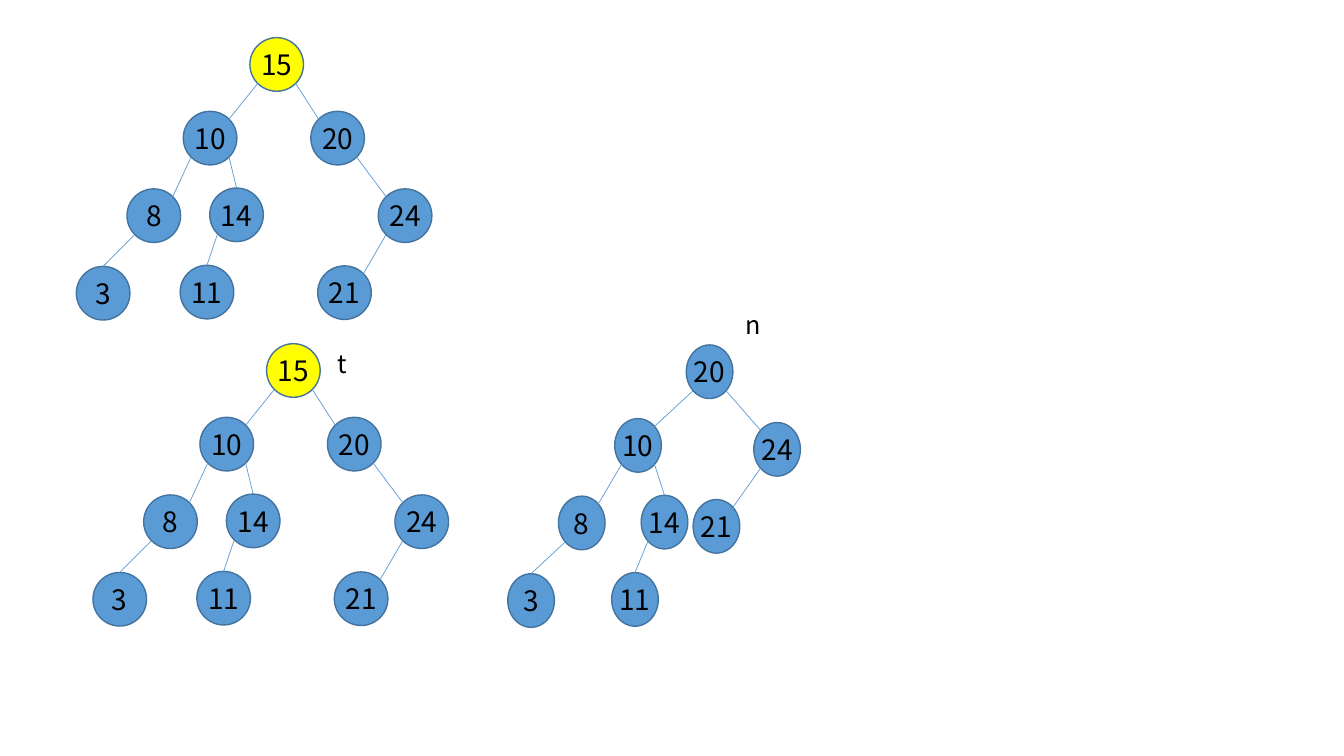
import math
import pptx
import pptx.util
import pptx.dml.color
import pptx.enum.shapes
import pptx.enum.text
import pptx.oxml.ns
import lxml.etree

Pt = pptx.util.Pt
ALIGN = pptx.enum.text.PP_ALIGN
ANCHOR = pptx.enum.text.MSO_ANCHOR

THEME = {
    "font": "Noto Sans CJK KR", "text": "000000",
    "node": "5B9BD5", "root": "FFFF00", "outline": "43739E", "edge": "5B9BD5",
    "node_size": 20, "label_size": 18, "outline_width": 1, "edge_width": 0.5,
}

# Connection sites of an ellipse, counted anticlockwise from the top
TOP, TOP_LEFT, BOTTOM_LEFT, BOTTOM_RIGHT, TOP_RIGHT = 0, 1, 3, 5, 7

# (parent, child, shift from parent, whether the edge enters at the top)
LEFT_BRANCH = [
    ("10", "8", (-40.2, 55.4), False),
    ("8", "3", (-36.2, 55.4), True),
    ("10", "14", (18.9, 54.8), True),
    ("14", "11", (-21.1, 55.2), True),
]
RIGHT_BRANCH = [
    ("20", "24", (48.2, 55.4), False),
    ("24", "21", (-43.3, 55), False),
]
FULL_TREE = [
    ("15", "10", (-47.6, 52.6), False),
    ("15", "20", (43.5, 52.6), False),
    *LEFT_BRANCH, *RIGHT_BRANCH,
]
MERGED_TREE = [("20", "10", (-51.1, 52.6), False), *LEFT_BRANCH, *RIGHT_BRANCH]

# (root, root fill, root position, node size, edges)
TREES = [
    ("15", "root", (178.5, 26.9), (38.3, 38.3), FULL_TREE),
    ("15", "root", (190.4, 245.5), (38.3, 38.3), FULL_TREE),
    ("20", "node", (490.2, 246.4), (33.3, 38.3), MERGED_TREE),
]
LABELS = [("t", (234, 245.5, 21, 29), False), ("n", (525.6, 217.4, 21.6, 29), True)]


def color(name):
    """Return a theme colour."""
    return pptx.dml.color.RGBColor.from_string(THEME[name])


def put_text(sp, text, size, align=ALIGN.LEFT, anchor=ANCHOR.TOP, wrap=False):
    """Write one formatted line of text into a shape."""
    tf = sp.text_frame
    tf.word_wrap = wrap
    tf.vertical_anchor = anchor
    p = tf.paragraphs[0]
    p.alignment = align
    r = p.add_run()
    r.text = text
    r.font.name = THEME["font"]
    r.font.size = Pt(THEME[size])
    r.font.color.rgb = color("text")
    for tag in ("a:ea", "a:cs"):
        face = lxml.etree.SubElement(r.font._element, pptx.oxml.ns.qn(tag))
        face.set("typeface", THEME["font"])


def add_node(s, text, pos, size, fill):
    """Draw one tree node."""
    sp = s.shapes.add_shape(pptx.enum.shapes.MSO_SHAPE.OVAL, *map(Pt, pos + size))
    sp.shadow.inherit = False
    sp.fill.solid()
    sp.fill.fore_color.rgb = color(fill)
    sp.line.color.rgb = color("outline")
    sp.line.width = Pt(THEME["outline_width"])
    put_text(sp, text, "node_size", align=ALIGN.CENTER, anchor=ANCHOR.MIDDLE)
    return sp


def site_point(sp, site):
    """Return the position of a connection site on an ellipse."""
    angle = math.pi / 4 * site
    return (round(sp.left + sp.width / 2 * (1 - math.sin(angle))),
            round(sp.top + sp.height / 2 * (1 - math.cos(angle))))


def add_edge(s, parent, child, enters_top):
    """Connect a parent node to its child."""
    goes_left = child.left < parent.left
    start = BOTTOM_LEFT if goes_left else BOTTOM_RIGHT
    end = TOP if enters_top else TOP_RIGHT if goes_left else TOP_LEFT
    cx = s.shapes.add_connector(pptx.enum.shapes.MSO_CONNECTOR.STRAIGHT, 0, 0, 0, 0)
    cx.line.color.rgb = color("edge")
    cx.line.width = Pt(THEME["edge_width"])
    lxml.etree.SubElement(cx._element.spPr, pptx.oxml.ns.qn("a:effectLst"))
    # Sites 0 to 3 are placed as on a rectangle, so the ends are set afterwards
    cx.begin_connect(parent, 0)
    cx.end_connect(child, 0)
    links = cx._element.nvCxnSpPr.cNvCxnSpPr
    links.stCxn.idx, links.endCxn.idx = start, end
    cx.begin_x, cx.begin_y = site_point(parent, start)
    cx.end_x, cx.end_y = site_point(child, end)


def add_tree(s, root, root_fill, root_pos, size, edges):
    """Place each node by its parent, then draw the edges."""
    places = {root: root_pos}
    nodes = {root: add_node(s, root, root_pos, size, root_fill)}
    for parent, child, (dx, dy), _ in edges:
        x, y = places[parent]
        places[child] = (x + dx, y + dy)
        nodes[child] = add_node(s, child, places[child], size, "node")
    for parent, child, _, enters_top in edges:
        add_edge(s, nodes[parent], nodes[child], enters_top)


def main():
    """Build the slide."""
    prs = pptx.Presentation()
    prs.slide_width, prs.slide_height = Pt(960), Pt(540)
    s = prs.slides.add_slide(prs.slide_layouts[6])
    for tree in TREES:
        add_tree(s, *tree)
    for text, box, wrap in LABELS:
        sp = s.shapes.add_textbox(*map(Pt, box))
        put_text(sp, text, "label_size", wrap=wrap)
        sp.text_frame.auto_size = pptx.enum.text.MSO_AUTO_SIZE.SHAPE_TO_FIT_TEXT
    prs.save("out.pptx")


main()
